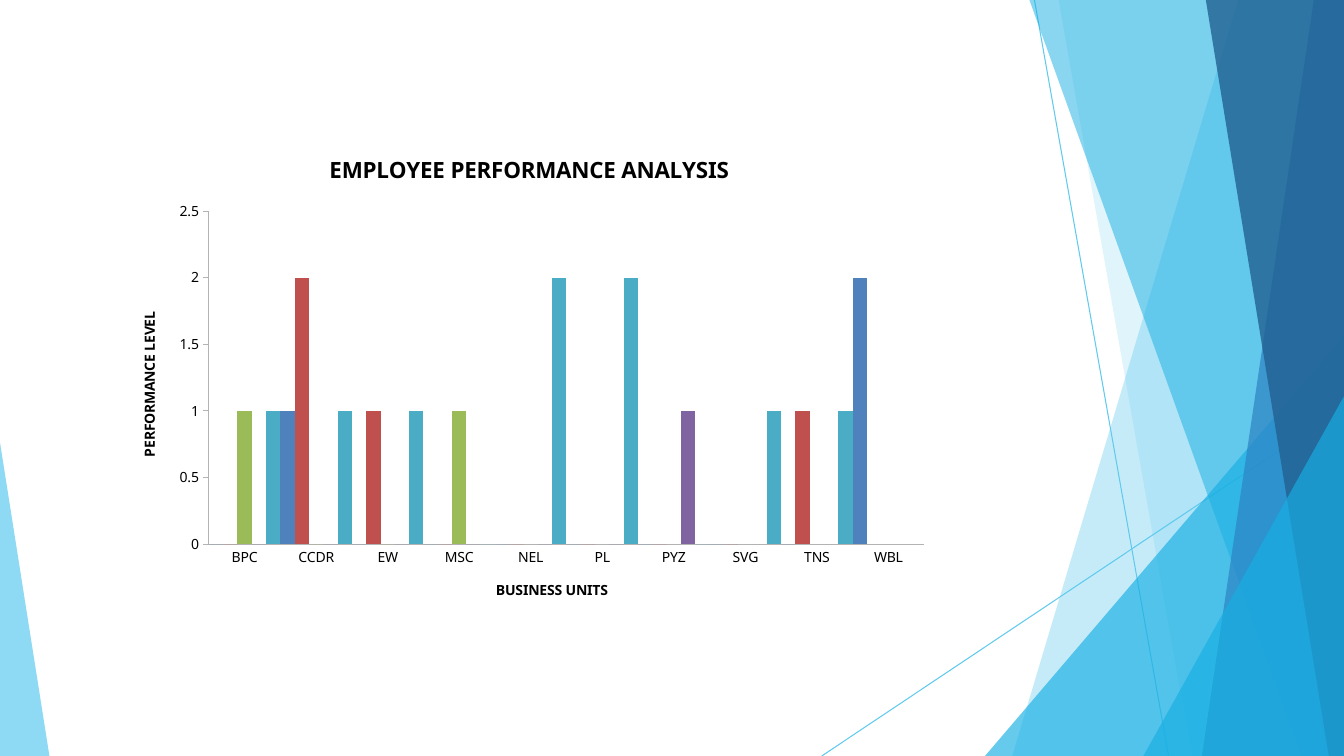
from lxml import etree
from pptx import Presentation
from pptx.chart.data import CategoryChartData
from pptx.dml.color import RGBColor
from pptx.enum.chart import XL_CHART_TYPE, XL_TICK_MARK
from pptx.enum.shapes import MSO_CONNECTOR
from pptx.oxml.ns import qn
from pptx.util import Inches, Pt

FONT = "Noto Sans"
WIDTH, HEIGHT = 13.33, 7.5
SKY, CYAN, BLUE, NAVY = "5FCAEE", "17AFE3", "2D83C3", "226192"

# Corner points, colour, opacity in percent; back to front
FACETS = [
    ([(WIDTH, 0), (12.28, 0), (10.04, HEIGHT), (WIDTH, HEIGHT)], SKY, 36),
    ([(WIDTH, 0), (10.5, 0), (11.82, HEIGHT), (WIDTH, HEIGHT)], SKY, 20),
    ([(WIDTH, 3.33), (9.77, HEIGHT), (WIDTH, HEIGHT)], CYAN, 66),
    ([(WIDTH, 0), (10.21, 0), (12.91, HEIGHT), (WIDTH, HEIGHT)], CYAN, 50),
    ([(WIDTH, 0), (13.03, 0), (11.92, HEIGHT), (WIDTH, HEIGHT)], BLUE, 70),
    ([(WIDTH, 0), (11.96, 0), (13.18, HEIGHT), (WIDTH, HEIGHT)], NAVY, 80),
    ([(WIDTH, 3.93), (11.34, HEIGHT), (WIDTH, HEIGHT)], CYAN, 66),
    ([(0, 4.39), (0, HEIGHT), (0.49, HEIGHT)], SKY, 70),
]
RAYS = [((10.26, 0), (11.59, HEIGHT)), ((WIDTH, 4.04), (8.15, HEIGHT))]

UNITS = ["BPC", "CCDR", "EW", "MSC", "NEL", "PL", "PYZ", "SVG", "TNS", "WBL"]
LEVELS = [
    ("Series 1", [0, 1, 0, 0, 0, 0, 0, 0, 0, 2], "4F81BD"),
    ("Series 2", [0, 2, 1, 0, 0, 0, 0, 0, 1, None], "C0504D"),
    ("Series 3", [1, 0, 0, 1] + [None] * 6, "9BBB59"),
    ("Series 4", [0, 0, 0, 0, 0, 0, 1] + [None] * 3, "8064A2"),
    ("Series 5", [1, 1, 1, 0, 2, 2, 0, 1, 1, None], "4BACC6"),
]


def color(hex_string):
    return RGBColor.from_string(hex_string)


def style_font(font, size, bold=False):
    font.name = FONT
    font.size = Pt(size)
    font.bold = bold
    font.color.rgb = color("000000")


def add_ray(slide, start, end):
    ray = slide.shapes.add_connector(
        MSO_CONNECTOR.STRAIGHT, *(Inches(v) for v in start + end))
    ray.line.color.rgb = color(SKY)
    ray.line.width = Pt(0.75)
    etree.SubElement(ray._element.spPr, qn("a:effectLst"))


def add_facet(slide, corners, hex_string, opacity):
    points = [(Inches(x), Inches(y)) for x, y in corners]
    builder = slide.shapes.build_freeform(*points[0])
    builder.add_line_segments(points[1:], close=True)
    facet = builder.convert_to_shape()
    facet.shadow.inherit = False
    facet.line.fill.background()
    facet.fill.solid()
    facet.fill.fore_color.rgb = color(hex_string)
    tint = facet._element.spPr.find(qn("a:solidFill"))[0]
    etree.SubElement(tint, qn("a:alpha"), val=str(opacity * 1000))


def add_backdrop(slide):
    for start, end in RAYS:
        add_ray(slide, start, end)
    for corners, hex_string, opacity in FACETS:
        add_facet(slide, corners, hex_string, opacity)


def set_title(owner, text, size):
    """Title a chart or an axis in bold."""
    frame = (owner.chart_title if hasattr(owner, "chart_title")
             else owner.axis_title).text_frame
    frame.text = text
    style_font(frame.paragraphs[0].runs[0].font, size, bold=True)


def style_axis(axis, title, tick_mark):
    axis.has_major_gridlines = False
    axis.major_tick_mark = tick_mark
    axis.minor_tick_mark = XL_TICK_MARK.NONE
    axis.format.line.color.rgb = color("B3B3B3")
    style_font(axis.tick_labels.font, 10)
    set_title(axis, title, 10)


def add_performance_chart(slide, left, top, width, height):
    data = CategoryChartData()
    data.categories = UNITS
    for name, values, _ in LEVELS:
        data.add_series(name, values)
    chart = slide.shapes.add_chart(
        XL_CHART_TYPE.COLUMN_CLUSTERED, Inches(left), Inches(top),
        Inches(width), Inches(height), data).chart
    style_font(chart.font, 10)
    chart.has_legend = False
    set_title(chart, "EMPLOYEE PERFORMANCE ANALYSIS", 16)
    style_axis(chart.category_axis, "BUSINESS UNITS", XL_TICK_MARK.NONE)
    style_axis(chart.value_axis, "PERFORMANCE LEVEL", XL_TICK_MARK.OUTSIDE)
    chart.value_axis.minimum_scale = 0
    chart.value_axis.maximum_scale = 2.5
    chart.value_axis.major_unit = 0.5

    plot = chart.plots[0]
    plot.vary_by_categories = False
    plot.gap_width = 0
    plot.overlap = 0
    for series, (_, _, hex_string) in zip(plot.series, LEVELS):
        series.format.fill.solid()
        series.format.fill.fore_color.rgb = color(hex_string)


def main():
    prs = Presentation()
    prs.slide_width, prs.slide_height = Inches(WIDTH), Inches(HEIGHT)
    slide = prs.slides.add_slide(prs.slide_layouts[6])
    add_backdrop(slide)
    add_performance_chart(slide, 1.17, 1.33, 8.16, 4.83)
    prs.save("out.pptx")


if __name__ == "__main__":
    main()
